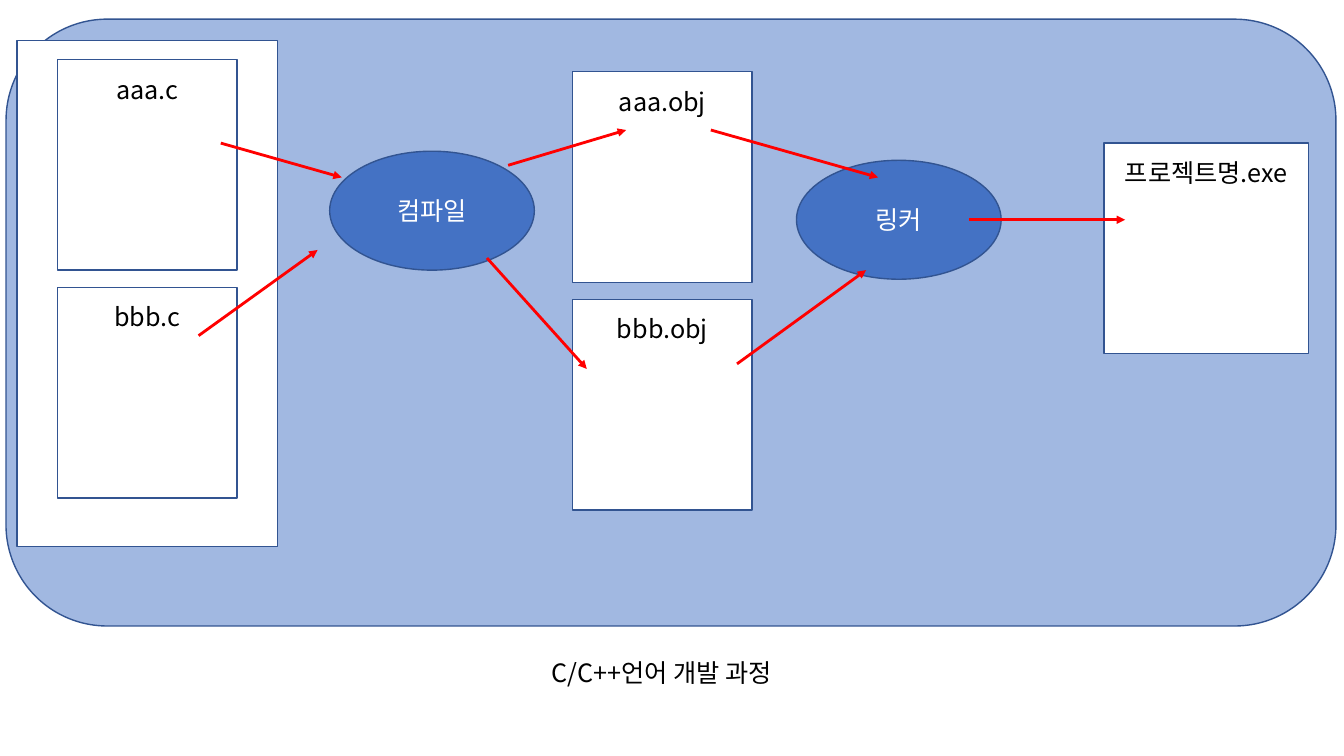
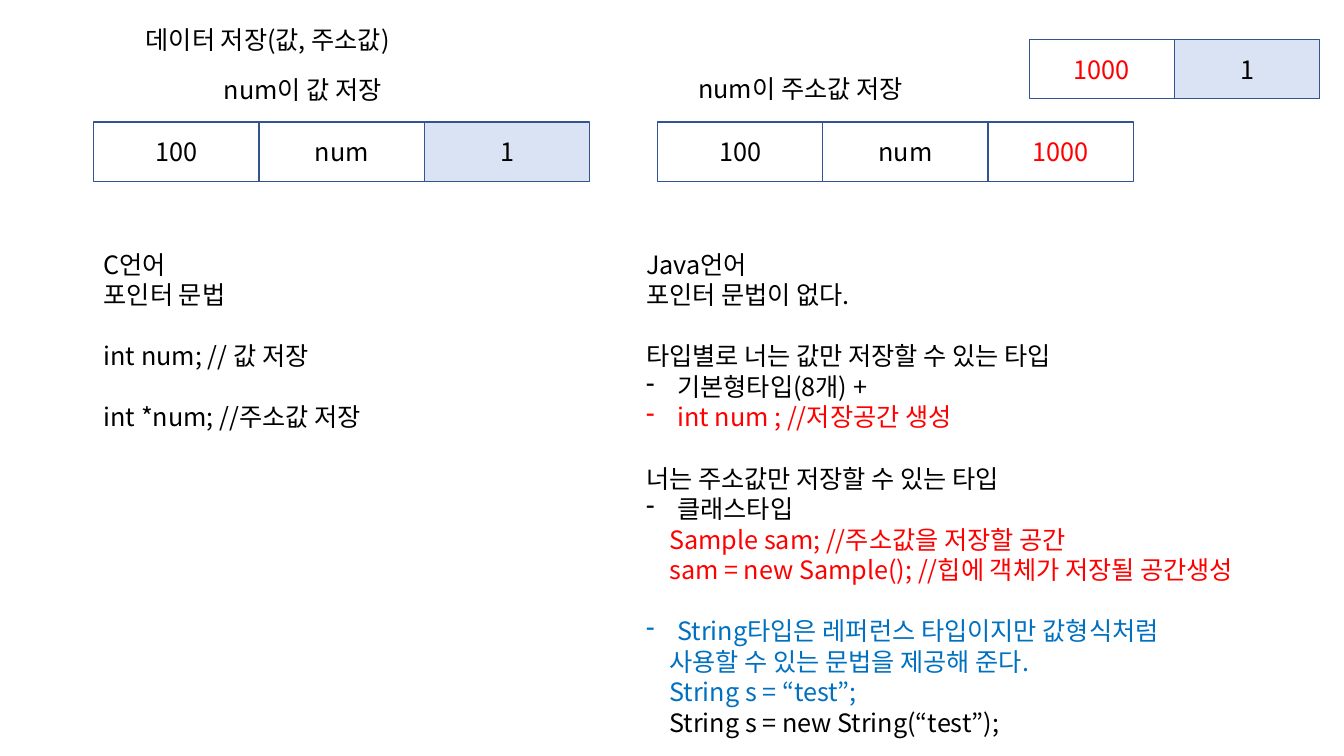
from lxml import etree
from pptx import Presentation
from pptx.dml.color import RGBColor
from pptx.enum.shapes import MSO_CONNECTOR, MSO_SHAPE
from pptx.enum.text import MSO_ANCHOR, MSO_AUTO_SIZE, PP_ALIGN
from pptx.oxml.ns import qn
from pptx.util import Emu, Pt

RECT, OVAL, ROUND = MSO_SHAPE.RECTANGLE, MSO_SHAPE.OVAL, MSO_SHAPE.ROUNDED_RECTANGLE
LINE = MSO_CONNECTOR.STRAIGHT
TOP, MID = MSO_ANCHOR.TOP, MSO_ANCHOR.MIDDLE
LEFT, MEAN = PP_ALIGN.LEFT, PP_ALIGN.CENTER
GROW = MSO_AUTO_SIZE.SHAPE_TO_FIT_TEXT

SCALE = 9144
FACE = "Noto Sans CJK KR"
BLACK, WHITE, RED, AZURE = "000000", "FFFFFF", "FF0000", "0070C0"
BLUE, EDGE, PALE = "4472C4", "325491", "DAE3F3"
FONT = {"name": FACE, "size": Pt(18), "bold": False}
PITCH = Pt(21.8)
DASH, INSET = (31, -31), (23, 0)
PLAIN = (0, 0)


def px(num):
    """Turn whole px into EMU."""
    return Emu(num * SCALE)


def color(code):
    """Turn a hex string into a colour."""
    return RGBColor.from_string(code)


def apply(item, form):
    """Set every attribute named in a dict of format values."""
    for key, val in form.items():
        setattr(item, key, val)


def child(node, tag, **attrs):
    """Add an XML child in the drawing namespace."""
    return etree.SubElement(node, qn(tag), attrs)


def write(par, text, tint=BLACK, align=MEAN, gap=False):
    """Write one line of text into a paragraph."""
    apply(par, {"alignment": align, "line_spacing": PITCH,
                "space_before": PITCH if gap else Pt(0)})
    run = par.add_run()
    run.text = text
    apply(run.font, FONT)
    run.font.color.rgb = color(tint)
    child(run.font._element, "a:ea", typeface=FACE)


def indent(par, margin, first):
    """Indent a paragraph, with a dash where the first line hangs."""
    props = par._p.get_or_add_pPr()
    props.set("marL", str(px(margin)))
    props.set("indent", str(px(first)))
    if first:
        child(props, "a:buChar", char="-")


def shape(slide, kind, box, fill=WHITE, text="", tint=BLACK, **form):
    """Add an outlined shape with an optional centred label."""
    item = slide.shapes.add_shape(kind, *map(px, box))
    item.shadow.inherit = False
    item.fill.solid()
    item.fill.fore_color.rgb = color(fill)
    item.line.color.rgb = color(EDGE)
    item.line.width = Pt(1)
    if text:
        apply(item.text_frame, {"vertical_anchor": MID, **form})
        write(item.text_frame.paragraphs[0], text, tint)
    return item


def arrow(slide, ends):
    """Add a red arrow from the first point to the second."""
    item = slide.shapes.add_connector(LINE, *map(px, ends))
    item.line.color.rgb = color(RED)
    item.line.width = Pt(2)
    child(item.line._get_or_add_ln(), "a:tailEnd", type="triangle")
    child(item._element.spPr, "a:effectLst")


def title(slide, box, text, wrap=True):
    """Move and format the title placeholder."""
    item = slide.shapes.title
    apply(item, dict(zip(("left", "top", "width", "height"), map(px, box))))
    apply(item.text_frame, {"word_wrap": wrap, "auto_size": GROW, "vertical_anchor": TOP})
    write(item.text_frame.paragraphs[0], text)


def notes(slide, box, lines, align=LEFT):
    """Add a text box from rows of text, colour, indent and gap."""
    frame = slide.shapes.add_textbox(*map(px, box)).text_frame
    apply(frame, {"word_wrap": True, "auto_size": GROW})
    for at, (text, tint, dent, gap) in enumerate(lines):
        par = frame.add_paragraph() if at else frame.paragraphs[0]
        write(par, text, tint, align, gap)
        indent(par, *dent)


def label(slide, box, text):
    """Add one centred line of text."""
    notes(slide, box, [(text, BLACK, PLAIN, False)], MEAN)


def file(slide, box, name):
    """Add a file box with its name near the top."""
    shape(slide, RECT, box, WHITE, name, vertical_anchor=TOP, margin_top=px(14))


def pair(slide, left, top, names):
    """Stack two file boxes."""
    for at, name in enumerate(names):
        file(slide, (left, top + 226 * at, 178, 209), name)


def flow(slide, box):
    """Draw the build flow on its panel."""
    left, top = box[:2]
    panel = shape(slide, ROUND, box, BLUE)
    tone = panel.fill._xPr.find(".//" + qn("a:srgbClr"))
    child(tone, "a:alpha", val="50000")
    shape(slide, RECT, (left + 11, top + 21, 258, 502))
    pair(slide, left + 51, top + 40, ("aaa.c", "bbb.c"))
    pair(slide, left + 562, top + 52, ("aaa.obj", "bbb.obj"))
    file(slide, (left + 1089, top + 123, 203, 209), "프로젝트명.exe")
    for x, y, name in ((321, 131, "컴파일"), (784, 140, "링커")):
        shape(slide, OVAL, (left + x, top + y, 203, 118), BLUE, name, WHITE)
    for x, y, end, low in (
        (213, 123, 333, 157), (191, 314, 309, 229),
        (498, 145, 615, 110), (477, 237, 576, 347),
        (699, 110, 865, 157), (725, 342, 853, 249),
        (955, 199, 1110, 199),
    ):
        arrow(slide, (left + x, top + y, left + end, top + low))


def cells(slide, left, top, items):
    """Lay memory cells side by side."""
    for text, width, fill, tint in items:
        shape(slide, RECT, (left, top, width, 59), fill, text, tint)
        left += width


def build(deck):
    """Make the slide on the build process."""
    slide = deck.slides.add_slide(deck.slide_layouts[5])
    title(slide, (523, 647, 267, 40), "C/C++언어 개발 과정", False)
    flow(slide, (6, 19, 1319, 602))


def store(deck):
    """Make the slide on stored values and addresses."""
    slide = deck.slides.add_slide(deck.slide_layouts[5])
    title(slide, (71, 19, 389, 40), "데이터 저장(값, 주소값)")
    label(slide, (106, 69, 389, 40), "num이 값 저장")
    label(slide, (639, 68, 310, 40), "num이 주소값 저장")
    head = [("100", 164, WHITE, BLACK), ("num", 164, WHITE, BLACK)]
    link = ("1000", 144, WHITE, RED)
    cells(slide, 93, 121, head + [("1", 164, PALE, BLACK)])
    cells(slide, 652, 121, head + [link])
    cells(slide, 1021, 39, [link, ("1", 144, PALE, BLACK)])
    notes(slide, (93, 242, 389, 222), (
        ("C언어", BLACK, PLAIN, False),
        ("포인터 문법", BLACK, PLAIN, False),
        ("int num; // 값 저장", BLACK, PLAIN, True),
        ("int *num; //주소값 저장", BLACK, PLAIN, True),
    ))
    notes(slide, (631, 242, 677, 495), (
        ("Java언어", BLACK, PLAIN, False),
        ("포인터 문법이 없다.", BLACK, PLAIN, False),
        ("타입별로 너는 값만 저장할 수 있는 타입", BLACK, PLAIN, True),
        ("기본형타입(8개) +", BLACK, DASH, False),
        ("int num ; //저장공간 생성", RED, DASH, False),
        ("너는 주소값만 저장할 수 있는 타입", BLACK, PLAIN, True),
        ("클래스타입", BLACK, DASH, False),
        ("Sample sam; //주소값을 저장할 공간", RED, INSET, False),
        ("sam = new Sample(); //힙에 객체가 저장될 공간생성", RED, INSET, False),
        ("String타입은 레퍼런스 타입이지만 값형식처럼", AZURE, DASH, True),
        ("사용할 수 있는 문법을 제공해 준다.", AZURE, INSET, False),
        ("String s = “test”;", AZURE, INSET, False),
        ("String s = new String(“test”);", BLACK, INSET, False),
    ))


def main():
    """Build and save the deck."""
    deck = Presentation()
    apply(deck, {"slide_width": px(1333), "slide_height": px(750)})
    build(deck)
    store(deck)
    deck.save("out.pptx")


if __name__ == "__main__":
    main()
